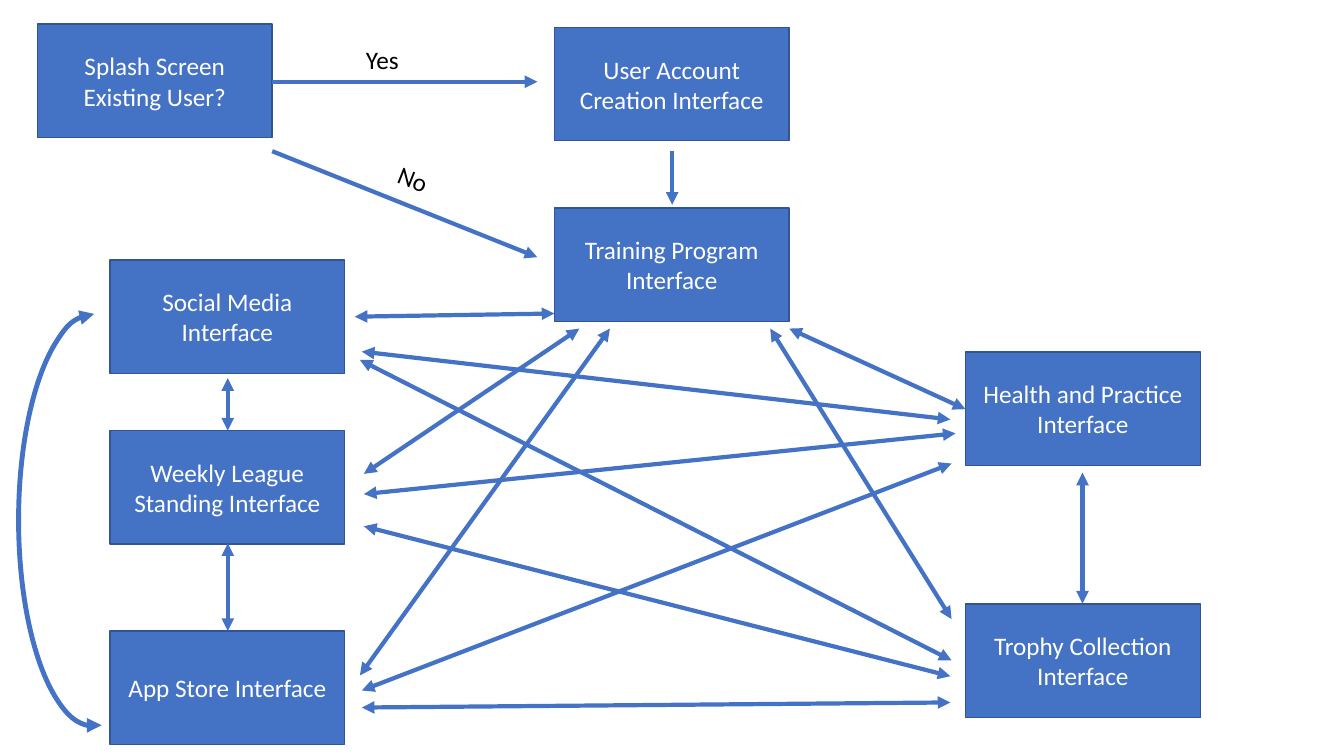
"""Draw the screen flow of a training app."""
from dataclasses import dataclass

from lxml import etree
from pptx import Presentation
from pptx.dml.color import RGBColor
from pptx.enum.shapes import MSO_CONNECTOR, MSO_SHAPE
from pptx.enum.text import MSO_ANCHOR, PP_ALIGN
from pptx.oxml.ns import qn
from pptx.util import Cm, Pt

RECT, ARC = MSO_SHAPE.RECTANGLE, MSO_SHAPE.ARC
LINE = MSO_CONNECTOR.STRAIGHT
MIDDLE, TOP = MSO_ANCHOR.MIDDLE, MSO_ANCHOR.TOP
CENTER, LEFT = PP_ALIGN.CENTER, PP_ALIGN.LEFT

BLUE, EDGE, WHITE, BLACK = "4472C4", "325491", "FFFFFF", "000000"
FONT = {"name": "Calibri", "size": Pt(18)}
WIDE, HIGH = 5.92, 2.86
SIDE, MID, FAR = 2.77, 13.97, 24.33


@dataclass
class Box:
    text: str
    x: float
    y: float


@dataclass
class Arrow:
    x1: float
    y1: float
    x2: float
    y2: float
    both: bool = True


@dataclass
class Label:
    text: str
    x: float
    y: float
    turn: float = 0


BOXES = [
    Box("Splash Screen\nExisting User?", 0.94, 0.61),
    Box("Training Program Interface", MID, 5.24),
    Box("Health and Practice Interface", FAR, 8.87),
    Box("Social Media Interface", SIDE, 6.55),
    Box("Weekly League Standing Interface", SIDE, 10.85),
    Box("App Store Interface", SIDE, 15.9),
    Box("User Account Creation Interface", MID, 0.69),
    Box("Trophy Collection Interface", FAR, 15.22),
]
ARROWS = [
    Arrow(6.86, 2.06, 13.54, 2.06, False),
    Arrow(6.86, 3.81, 13.54, 6.48, False),
    Arrow(13.97, 7.9, 8.94, 7.98),
    Arrow(14.6, 8.28, 9.17, 11.94),
    Arrow(15.37, 8.28, 9.07, 17.02),
    Arrow(24.33, 10.31, 19.89, 8.28),
    Arrow(23.98, 15.6, 19.41, 8.28),
    Arrow(23.98, 16.64, 9.07, 9.07),
    Arrow(27.28, 15.21, 27.28, 11.91),
    Arrow(5.74, 15.9, 5.74, 13.69),
    Arrow(5.74, 10.85, 5.74, 9.53),
    Arrow(23.95, 17.7, 9.12, 17.83),
    Arrow(24.08, 10.92, 9.17, 12.45),
    Arrow(23.95, 17.04, 9.17, 13.26),
    Arrow(23.98, 11.68, 9.12, 17.4),
    Arrow(23.95, 10.57, 9.12, 8.86),
    Arrow(16.94, 3.81, 16.94, 5.16, False),
]
LABELS = [Label("Yes", 8.97, 0.99), Label("No", 9.7, 4.47, 21.8)]


def tint(color, code: str) -> None:
    """Set a colour from a hex string."""
    color.rgb = RGBColor.from_string(code)


def stroke(line, code: str, width: float) -> None:
    """Set the colour and width of a line."""
    line.fill.solid()
    tint(line.fill.fore_color, code)
    line.width = Pt(width)


def tip(line, both: bool) -> None:
    """Add triangle heads to a line."""
    ends = ("a:headEnd", "a:tailEnd") if both else ("a:tailEnd",)
    for end in ends:
        etree.SubElement(line._get_or_add_ln(), qn(end), type="triangle")


def write(frame, text: str, code: str, align, anchor) -> None:
    """Fill a text frame and format its runs."""
    frame.text = text
    frame.word_wrap = True
    frame.vertical_anchor = anchor
    for para in frame.paragraphs:
        para.alignment = align
        for run in para.runs:
            tint(run.font.color, code)
            for key, value in FONT.items():
                setattr(run.font, key, value)


def add_box(shapes, box: Box) -> None:
    """Draw one screen of the flow."""
    shape = shapes.add_shape(RECT, Cm(box.x), Cm(box.y), Cm(WIDE), Cm(HIGH))
    shape.shadow.inherit = False
    shape.fill.solid()
    tint(shape.fill.fore_color, BLUE)
    stroke(shape.line, EDGE, 1)
    write(shape.text_frame, box.text, WHITE, CENTER, MIDDLE)


def add_arrow(shapes, arrow: Arrow) -> None:
    """Draw one straight arrow."""
    ends = (arrow.x1, arrow.y1, arrow.x2, arrow.y2)
    link = shapes.add_connector(LINE, *map(Cm, ends))
    stroke(link.line, BLUE, 3)
    tip(link.line, arrow.both)
    etree.SubElement(link._element.spPr, qn("a:effectLst"))


def add_arc(shapes) -> None:
    """Draw the curved arrow from social media to the app store."""
    arc = shapes.add_shape(ARC, Cm(-2.82), Cm(11.2), Cm(10.39), Cm(3.81))
    arc.rotation = 270
    arc.adjustments[0] = 106.759
    arc.adjustments[1] = 0
    arc.shadow.inherit = False
    arc.fill.background()
    stroke(arc.line, BLUE, 3.5)
    tip(arc.line, True)


def add_label(shapes, label: Label) -> None:
    """Write the answer beside an arrow."""
    note = shapes.add_textbox(Cm(label.x), Cm(label.y), Cm(3.76), Cm(1.02))
    note.rotation = label.turn
    write(note.text_frame, label.text, BLACK, LEFT, TOP)


def main() -> None:
    """Build and save the slide."""
    deck = Presentation()
    deck.slide_width, deck.slide_height = Cm(33.87), Cm(19.05)
    shapes = deck.slides.add_slide(deck.slide_layouts[6]).shapes
    for box in BOXES:
        add_box(shapes, box)
    for arrow in ARROWS:
        add_arrow(shapes, arrow)
    add_arc(shapes)
    for label in LABELS:
        add_label(shapes, label)
    deck.save("out.pptx")


if __name__ == "__main__":
    main()
